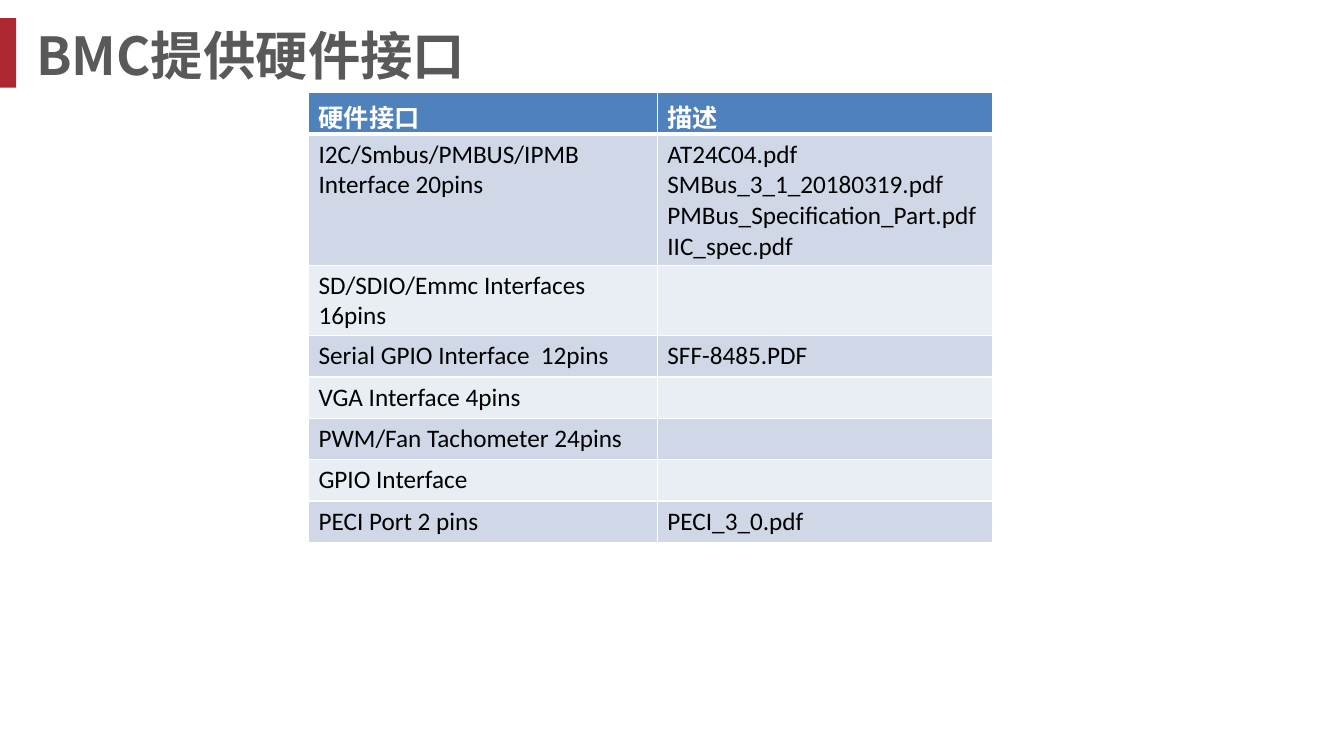
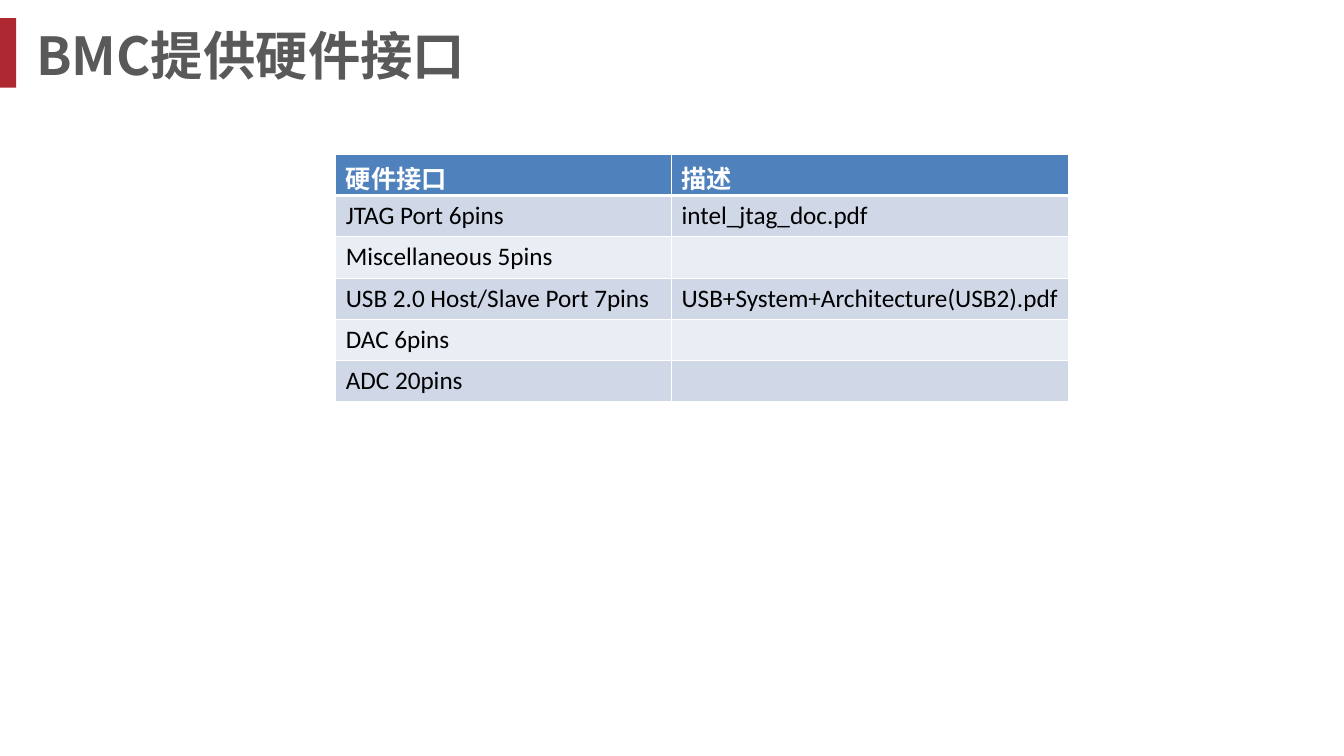
import pptx
import pptx.util
import pptx.dml.color
import pptx.enum.shapes
import pptx.enum.text
import pptx.oxml
import pptx.oxml.ns

Inches, Pt = pptx.util.Inches, pptx.util.Pt
RGBColor = pptx.dml.color.RGBColor

RED = RGBColor(0xAD, 0x28, 0x30)
GRAY = RGBColor(0x59, 0x59, 0x59)
BLUE = RGBColor(0x4F, 0x81, 0xBD)
BANDS = (RGBColor(0xD0, 0xD8, 0xE8), RGBColor(0xE9, 0xED, 0xF4))
WHITE = RGBColor(0xFF, 0xFF, 0xFF)
BLACK = RGBColor(0, 0, 0)

CJK_FONT = "Noto Sans CJK SC"
TITLE_FONT = {"name": CJK_FONT, "size": Pt(37.4), "bold": True}
HEADER_FONT = {"name": "Calibri", "size": Pt(18), "bold": True}
BODY_FONT = {"name": "Calibri", "size": Pt(18), "bold": False}
ROW_HEIGHT = 0.41

TITLE = "BMC提供硬件接口"
HEADER = ("硬件接口", "描述")
SLIDES = [
    {"left": 3.06, "top": 0.92, "widths": (3.46, 3.33), "rows": [
        ("I2C/Smbus/PMBUS/IPMB Interface 20pins",
         "AT24C04.pdf\nSMBus_3_1_20180319.pdf\n"
         "PMBus_Specification_Part.pdf\nIIC_spec.pdf"),
        ("SD/SDIO/Emmc Interfaces 16pins", ""),
        ("Serial GPIO Interface  12pins", "SFF-8485.PDF"),
        ("VGA Interface 4pins", ""),
        ("PWM/Fan Tachometer 24pins", ""),
        ("GPIO Interface", ""),
        ("PECI Port 2 pins", "PECI_3_0.pdf"),
    ]},
    {"left": 3.33, "top": 1.53, "widths": (3.33, 3.94), "rows": [
        ("JTAG Port 6pins", "intel_jtag_doc.pdf"),
        ("Miscellaneous 5pins", ""),
        ("USB 2.0 Host/Slave Port 7pins", "USB+System+Architecture(USB2).pdf"),
        ("DAC 6pins", ""),
        ("ADC 20pins", ""),
    ]},
]


def write_text(tf, text, font, color):
    """Fill a text frame, one paragraph a line, with Latin and CJK fonts."""
    tf.text = text
    for p in tf.paragraphs:
        for target in (p, *p.runs):
            for key, value in font.items():
                setattr(target.font, key, value)
            target.font.color.rgb = color
        for r in p.runs:
            ea = pptx.oxml.parse_xml(
                f'<a:ea {pptx.oxml.ns.nsdecls("a")} typeface="{CJK_FONT}"/>')
            r.font._element.find(pptx.oxml.ns.qn("a:latin")).addnext(ea)


def set_borders(cell, **widths):
    """Draw white cell borders; L, R, T and B are widths in points."""
    tc_pr = cell._tc.get_or_add_tcPr()
    for i, side in enumerate("LRTB"):
        tc_pr.insert(i, pptx.oxml.parse_xml(
            f'<a:ln{side} {pptx.oxml.ns.nsdecls("a")} w="{Pt(widths.get(side, 1))}">'
            f'<a:solidFill><a:srgbClr val="{WHITE}"/></a:solidFill></a:ln{side}>'))


def add_title(s):
    bar = s.shapes.add_shape(pptx.enum.shapes.MSO_SHAPE.RECTANGLE,
                             0, Inches(0.18), Inches(0.16), Inches(0.69))
    bar.shadow.inherit = False
    bar.fill.solid()
    bar.fill.fore_color.rgb = RED
    bar.line.fill.background()
    box = s.shapes.add_textbox(Inches(0.26), Inches(0.18), Inches(10.81), Inches(0.73))
    tf = box.text_frame
    tf.word_wrap = True
    tf.vertical_anchor = pptx.enum.text.MSO_ANCHOR.MIDDLE
    write_text(tf, TITLE, TITLE_FONT, GRAY)


def add_interface_table(s, left, top, widths, rows):
    rows = [HEADER, *rows]
    table = s.shapes.add_table(
        len(rows), len(widths), Inches(left), Inches(top),
        Inches(sum(widths)), Inches(ROW_HEIGHT * len(rows))).table
    for column, width in zip(table.columns, widths):
        column.width = Inches(width)
    for i, row in enumerate(rows):
        table.rows[i].height = Inches(ROW_HEIGHT)
        for j, text in enumerate(row):
            cell = table.cell(i, j)
            cell.fill.solid()
            cell.fill.fore_color.rgb = BANDS[(i - 1) % 2] if i else BLUE
            set_borders(cell, T=3 if i == 1 else 1, B=1 if i else 3)
            write_text(cell.text_frame, text, BODY_FONT if i else HEADER_FONT,
                       BLACK if i else WHITE)


def main():
    prs = pptx.Presentation()
    prs.slide_width, prs.slide_height = Inches(13.33), Inches(7.5)
    for content in SLIDES:
        s = prs.slides.add_slide(prs.slide_layouts[6])
        add_title(s)
        add_interface_table(s, **content)
    prs.save("out.pptx")


if __name__ == "__main__":
    main()
